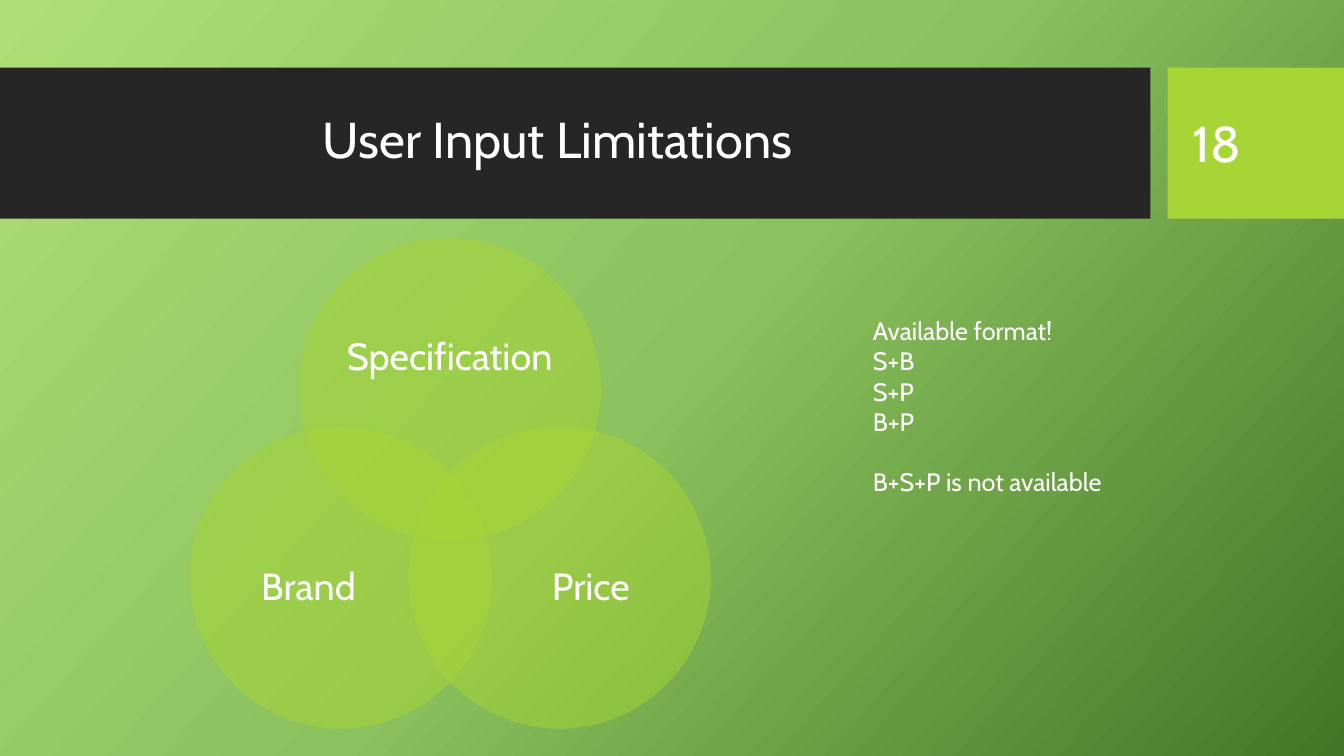
from copy import deepcopy

from pptx import Presentation
from pptx.dml.color import RGBColor
from pptx.enum.shapes import MSO_SHAPE as SHAPE
from pptx.enum.text import MSO_ANCHOR as ANCHOR, PP_ALIGN as ALIGN
from pptx.oxml import parse_xml
from pptx.oxml.ns import nsdecls, qn
from pptx.util import Pt

PX = 9144  # 100 px to the inch
WHITE, LIME, CHARCOAL = "FFFFFF", "A7D535", "262626"
color = RGBColor.from_string


def add_block(kind, box, fill, alpha=100):
    shape = slide.shapes.add_shape(kind, *(n * PX for n in box))
    shape.shadow.inherit = False
    shape.fill.solid()
    shape.fill.fore_color.rgb = color(fill)
    shape.line.fill.background()
    if alpha < 100:
        tint = shape.fill._xPr.find(".//" + qn("a:srgbClr"))
        tint.append(parse_xml(f'<a:alpha {nsdecls("a")} val="{alpha * 1000}"/>'))


def add_text(box, lines, size, align=ALIGN.CENTER, anchor=ANCHOR.MIDDLE, spacing=0.9, inset=None):
    frame = slide.shapes.add_textbox(*(n * PX for n in box)).text_frame
    frame.word_wrap = True
    frame.vertical_anchor = anchor
    if inset is not None:
        frame.margin_left = frame.margin_right = inset
        frame.margin_top = frame.margin_bottom = inset
    for i, line in enumerate(lines):
        paragraph = frame.add_paragraph() if i else frame.paragraphs[0]
        paragraph.alignment = align
        paragraph.line_spacing = spacing
        run = paragraph.add_run()
        run.text = line
        run.font.name = "Cabin"
        run.font.size = Pt(size)
        run.font.color.rgb = color(WHITE)
    return frame


presentation = Presentation()
presentation.slide_width, presentation.slide_height = 1333 * PX, 750 * PX
slide = presentation.slides.add_slide(presentation.slide_layouts[6])

# Green gradient background with three stops
background = slide.background.fill
background.gradient()
background.gradient_angle = 360 - 42
stop_list = slide.element.find(".//" + qn("a:gsLst"))
stop_list.append(deepcopy(stop_list[0]))
stops = [(0, "AFDE77"), (0.5, "8BC25D"), (1, "437528")]
for stop, (position, tone) in zip(background.gradient_stops, stops):
    stop.position = position
    stop.color.rgb = color(tone)

# Title bar and page number
add_block(SHAPE.RECTANGLE, (0, 67, 1141, 150), CHARCOAL)
add_block(SHAPE.RECTANGLE, (1158, 67, 175, 150), LIME)
add_text((11, 82, 1084, 118), ["User Input Limitations"], 36)
add_text((1173, 82, 126, 119), ["18"], 36, ALIGN.LEFT, spacing=1)

# Venn diagram: circle corner, label box
venn = [
    ("Specification", (296, 236), (336, 288, 220, 135)),
    ("Price", (405, 423), (496, 501, 180, 165)),
    ("Brand", (188, 423), (216, 501, 180, 165)),
]
for label, corner, label_box in venn:
    add_block(SHAPE.OVAL, (*corner, 300, 300), LIME, alpha=50)
    add_text(label_box, [label], 27, inset=0)

# Allowed combinations, with a line's gap before the exception
formats = ["Available format!", "S+B", "S+P", "B+P", "B+S+P is not available"]
notes = add_text((856, 308, 266, 192), formats, 18, ALIGN.LEFT, ANCHOR.TOP, spacing=1)
notes.paragraphs[-1].space_before = Pt(21.6)

presentation.save("out.pptx")
